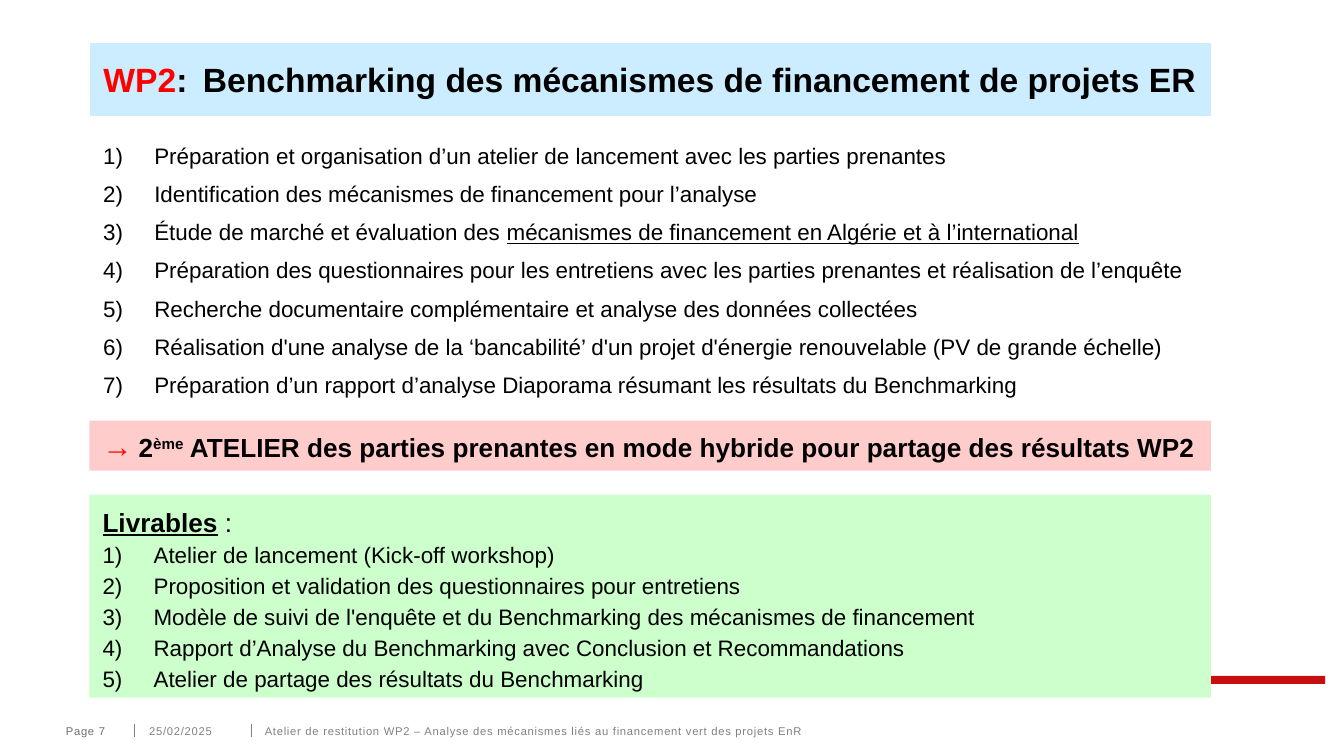
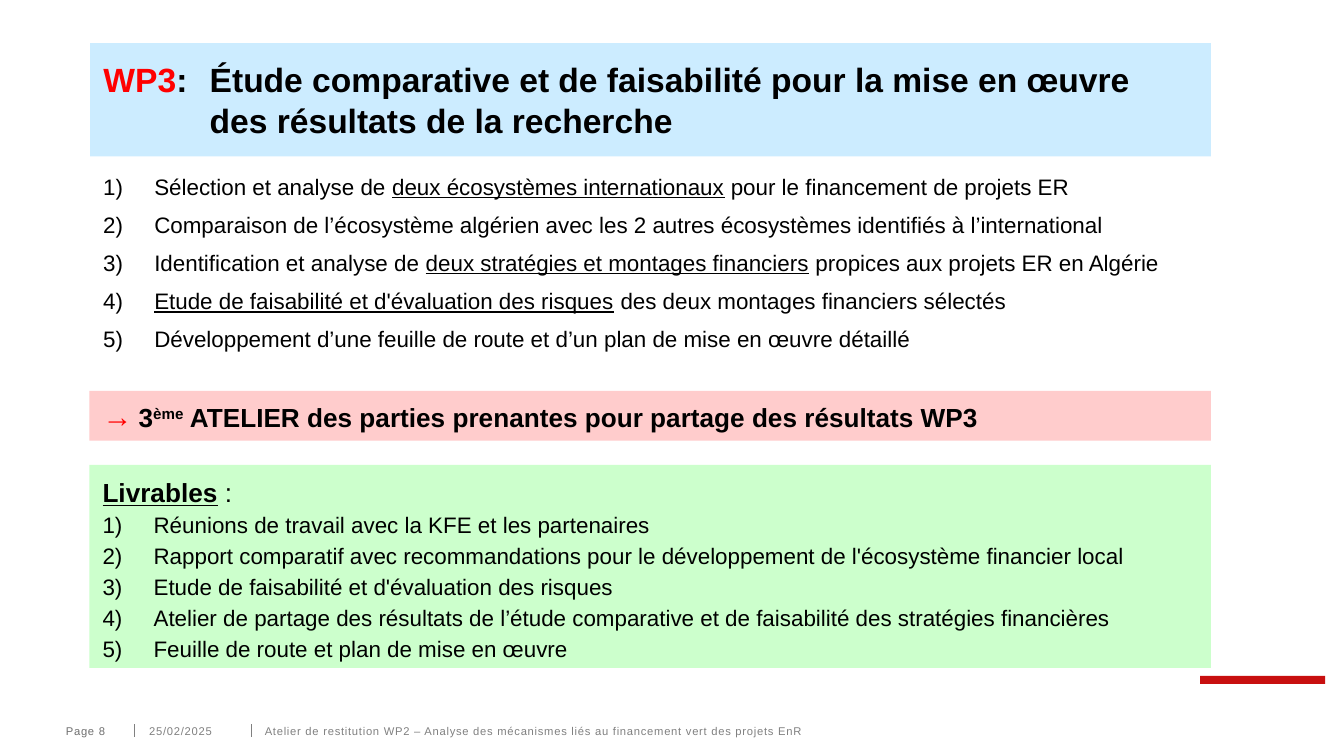
from lxml import etree
from pptx import Presentation
from pptx import util as u
from pptx.dml.color import RGBColor
from pptx.enum import shapes, text
from pptx.oxml.ns import qn

FONT = "Arial"
BLACK, RED, GREY, DARK_GREY = "000000", "FF0000", "808080", "6F6F6F"
BLUE_BAND, PINK_BAND, GREEN_BAND, ACCENT = "CCECFF", "FFCCCC", "CCFFCC", "C80F0F"
color = RGBColor.from_string

deck = Presentation()
deck.slide_width, deck.slide_height = u.Inches(10), u.Inches(5.625)

# Grid of 100 columns by 100 rows
COLUMN, ROW = deck.slide_width / 100, deck.slide_height / 100
LEFT, WIDTH = 6.65, 83.45
WORKSHOP_HEIGHT, DELIVERABLES_STEP, DELIVERABLES_HEIGHT = 6.6, 9.8, 26.85
FOOTER_TOP, FOOTER_HEIGHT = 95.8, 1.7
LIST_INDENT = u.Inches(0.38)

FOOTER = "Atelier de restitution WP2 – Analyse des mécanismes liés au financement vert des projets EnR"

# An underlined passage stands between two underscores
PAGES = [
    dict(
        number=7, code="WP2", title_height=9.65, title_indent=0.74,
        title=["Benchmarking des mécanismes de financement de projets ER"],
        tasks_top=17.95, tasks_height=46,
        tasks=[
            "Préparation et organisation d’un atelier de lancement avec les parties prenantes",
            "Identification des mécanismes de financement pour l’analyse",
            "Étude de marché et évaluation des _mécanismes de financement en Algérie et à l’international_",
            "Préparation des questionnaires pour les entretiens avec les parties prenantes et réalisation de l’enquête",
            "Recherche documentaire complémentaire et analyse des données collectées",
            "Réalisation d'une analyse de la ‘bancabilité’ d'un projet d'énergie renouvelable (PV de grande échelle)",
            "Préparation d’un rapport d’analyse Diaporama résumant les résultats du Benchmarking",
        ],
        workshop_top=55.65, rank="2",
        workshop=" ATELIER des parties prenantes en mode hybride pour partage des résultats WP2",
        deliverables=[
            "Atelier de lancement (Kick-off workshop)",
            "Proposition et validation des questionnaires pour entretiens",
            "Modèle de suivi de l'enquête et du Benchmarking des mécanismes de financement",
            "Rapport d’Analyse du Benchmarking avec Conclusion et Recommandations",
            "Atelier de partage des résultats du Benchmarking",
        ],
    ),
    dict(
        number=8, code="WP3", title_height=15, title_indent=0.79,
        title=["Étude comparative et de faisabilité pour la mise en œuvre ",
               "des résultats de la recherche"],
        tasks_top=22, tasks_height=25.8,
        tasks=[
            "Sélection et analyse de _deux écosystèmes internationaux_ pour le financement de projets ER",
            "Comparaison de l’écosystème algérien avec les 2 autres écosystèmes identifiés à l’international",
            "Identification et analyse de _deux stratégies et montages financiers_ propices aux projets ER en Algérie",
            "_Etude de faisabilité et d'évaluation des risques_ des deux montages financiers sélectés",
            "Développement d’une feuille de route et d’un plan de mise en œuvre détaillé",
        ],
        workshop_top=51.7, rank="3",
        workshop=" ATELIER des parties prenantes pour partage des résultats WP3",
        deliverables=[
            "Réunions de travail avec la KFE et les partenaires",
            "Rapport comparatif avec recommandations pour le développement de l'écosystème financier local",
            "Etude de faisabilité et d'évaluation des risques",
            "Atelier de partage des résultats de l’étude comparative et de faisabilité des stratégies financières",
            "Feuille de route et plan de mise en œuvre",
        ],
    ),
]


def add_box(page, left, top, width, height, fill=None):
    """Add a text box, or a filled band when a fill is given."""
    place = [round(left * COLUMN), round(top * ROW), round(width * COLUMN), round(height * ROW)]
    if fill:
        box = page.shapes.add_shape(shapes.MSO_SHAPE.RECTANGLE, *place)
        box.shadow.inherit = False
        box.fill.solid()
        box.fill.fore_color.rgb = color(fill)
        box.line.fill.background()
    else:
        box = page.shapes.add_textbox(*place)
    box.text_frame.word_wrap = True
    box.text_frame.vertical_anchor = text.MSO_ANCHOR.TOP
    box.text_frame.paragraphs[0].alignment = text.PP_ALIGN.LEFT
    return box


def add_span(para, words, size, hue=BLACK, bold=False, underline=False, **extra):
    """Add one run; extra holds further attributes such as spc or baseline."""
    span = para.add_run()
    span.text = words
    span.font.name, span.font.size = FONT, u.Pt(size)
    span.font.bold, span.font.underline = bold, underline
    span.font.color.rgb = color(hue)
    for name, value in extra.items():
        span.font._element.set(name, value)


for content in PAGES:
    page = deck.slides.add_slide(deck.slide_layouts[5])

    # Accent bar and footer
    add_box(page, 89.3, 89.4, 9.3, 1.07, ACCENT)
    for x in (10, 18.7):
        rule = page.shapes.add_connector(
            shapes.MSO_CONNECTOR.STRAIGHT, round(x * COLUMN), round(FOOTER_TOP * ROW),
            round(x * COLUMN), round((FOOTER_TOP + FOOTER_HEIGHT) * ROW))
        rule.line.color.rgb = color(GREY)
        rule.line.width = u.Pt(0.75)
        etree.SubElement(rule._element.spPr, qn("a:effectLst"))
    for x, width, words, hue in [(4.9, 4.9, f"Page {content['number']}", DARK_GREY),
                                 (11.1, 6.6, "25/02/2025", GREY),
                                 (19.7, 63.9, FOOTER, GREY)]:
        frame = add_box(page, x, FOOTER_TOP, width, FOOTER_HEIGHT).text_frame
        frame.margin_left = frame.margin_right = frame.margin_top = frame.margin_bottom = 0
        frame.vertical_anchor = text.MSO_ANCHOR.MIDDLE
        add_span(frame.paragraphs[0], words, 6, hue, spc="40")

    # Title band
    title = page.shapes.title
    title.left, title.top = round(6.7 * COLUMN), round(5.7 * ROW)
    title.width, title.height = round(83.4 * COLUMN), round(content["title_height"] * ROW)
    title.fill.solid()
    title.fill.fore_color.rgb = color(BLUE_BAND)
    frame = title.text_frame
    frame.word_wrap = True
    frame.auto_size = text.MSO_AUTO_SIZE.NONE
    frame.vertical_anchor = text.MSO_ANCHOR.TOP
    frame.margin_top = frame.margin_bottom = u.Inches(0.12)
    para = frame.paragraphs[0]
    para.alignment = text.PP_ALIGN.LEFT
    indent = u.Inches(content["title_indent"])
    para._p.get_or_add_pPr().set("marL", str(indent))
    para._p.get_or_add_pPr().set("indent", str(-indent))
    add_span(para, content["code"], 18, RED, bold=True)
    add_span(para, ":\t", 18, bold=True)
    for index, line in enumerate(content["title"]):
        if index:
            para.add_line_break()
        add_span(para, line, 18, bold=True)

    # Tasks and deliverables
    tasks = add_box(page, 6.7, content["tasks_top"], 83.4, content["tasks_height"])
    deliverables = add_box(page, LEFT, content["workshop_top"] + DELIVERABLES_STEP,
                           WIDTH, DELIVERABLES_HEIGHT, GREEN_BAND)
    heading = deliverables.text_frame.paragraphs[0]
    heading.line_spacing = 1.15
    add_span(heading, "Livrables", 14, bold=True, underline=True)
    add_span(heading, " :", 14)

    for box, items, spacing, after in [(tasks, content["tasks"], 1.0, 6),
                                       (deliverables, content["deliverables"], 1.15, 0)]:
        frame = box.text_frame
        for item in items:
            para = frame.paragraphs[0] if not frame.text else frame.add_paragraph()
            para.alignment = text.PP_ALIGN.LEFT
            para.line_spacing, para.space_after = spacing, u.Pt(after)
            props = para._p.get_or_add_pPr()
            props.set("marL", str(LIST_INDENT))
            props.set("indent", str(-LIST_INDENT))
            etree.SubElement(props, qn("a:buFont"), typeface="+mj-lt")
            etree.SubElement(props, qn("a:buAutoNum"), type="arabicParenR")
            for index, words in enumerate(item.split("_")):
                if words:
                    add_span(para, words, 12, underline=index % 2 == 1)

    # Workshop band
    workshop = add_box(page, LEFT, content["workshop_top"], WIDTH, WORKSHOP_HEIGHT, PINK_BAND)
    para = workshop.text_frame.paragraphs[0]
    add_span(para, "→", 16, RED, bold=True)
    add_span(para, " ", 12)
    add_span(para, content["rank"], 14, bold=True)
    add_span(para, "ème", 14, bold=True, baseline="30000")
    add_span(para, content["workshop"], 14, bold=True)

deck.save("out.pptx")
